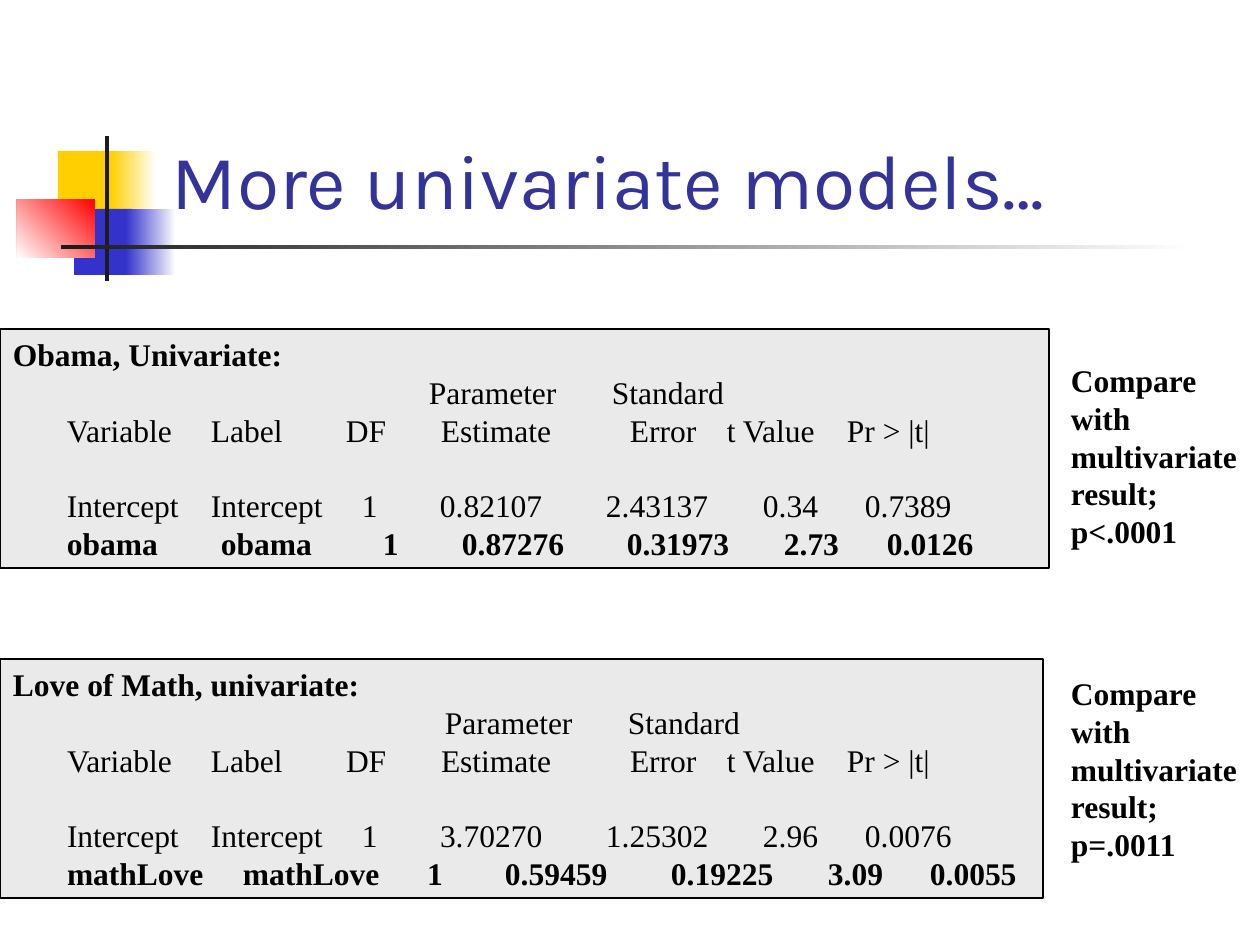
from lxml import etree
from pptx import Presentation
from pptx.dml.color import RGBColor
from pptx.enum.shapes import MSO_SHAPE
from pptx.enum.text import MSO_ANCHOR, PP_ALIGN
from pptx.oxml.ns import qn
from pptx.util import Emu, Pt

RECTANGLE = MSO_SHAPE.RECTANGLE
LEFT, TOP, BOTTOM = PP_ALIGN.LEFT, MSO_ANCHOR.TOP, MSO_ANCHOR.BOTTOM
PX = 914400 // 126
INSET_X, INSET_Y = 13, 6
LINE = Pt(21.6)
SERIF = {"name": "Times New Roman", "size": Pt(18)}
TITLE_FONT = {"name": "Karla", "size": Pt(44)}

# Left, top, width, height, colour, fade colour, fade angle (counterclockwise)
ORNAMENT = [
    (58, 151, 60, 65, "FFCF01", None, 0),
    (111, 151, 45, 65, "FFCF01", "FFFFFF", 0),
    (74, 209, 58, 66, "3333CC", None, 0),
    (126, 209, 50, 66, "3333CC", "FFFFFF", 0),
    (17, 199, 78, 59, "FF0000", "FFFFFF", 225),
    (105, 136, 4, 145, "1C1C1C", None, 0),
    (61, 245, 1134, 4, "1C1C1C", "FFFFFF", 0),
]

HEADINGS = ["Variable", "Label", "DF", "Estimate", "Error", "t Value", "Pr > |t|"]
HEADING_STOPS = [67, 211, 346, 441, 630, 727, 847]
INTERCEPT_STOPS = [67, 211, 362, 440, 606, 763, 865]
MODELS = [
    {
        "box": (0, 329, 1049, 239),
        "title": "Obama, Univariate:",
        "upper_stops": [429, 612],
        "intercept": ["Intercept", "Intercept", "1", "0.82107", "2.43137", "0.34", "0.7389"],
        "predictor": ["obama", "obama", "1", "0.87276", "0.31973", "2.73", "0.0126"],
        "predictor_stops": [67, 221, 383, 462, 627, 784, 887],
        "note_top": 355,
        "note": "Compare with multivariate result; p<.0001",
    },
    {
        "box": (0, 659, 1043, 239),
        "title": "Love of Math, univariate:",
        "upper_stops": [445, 628],
        "intercept": ["Intercept", "Intercept", "1", "3.70270", "1.25302", "2.96", "0.0076"],
        "predictor": ["mathLove", "mathLove", "1", "0.59459", "0.19225", "3.09", "0.0055"],
        "predictor_stops": [67, 243, 427, 505, 671, 828, 930],
        "note_top": 668,
        "note": "Compare with multivariate result; p=.0011",
    },
]


def px(*lengths):
    return [Emu(length * PX) for length in lengths]


def rgb(value):
    return RGBColor.from_string(value)


def set_attributes(target, values):
    for name, value in values.items():
        setattr(target, name, value)


def add_rectangle(slide, box, color, fade=None, angle=0, outline=None):
    rectangle = slide.shapes.add_shape(RECTANGLE, *px(*box))
    rectangle.shadow.inherit = False
    if fade:
        rectangle.fill.gradient()
        rectangle.fill.gradient_angle = angle
        for stop, stop_color in zip(rectangle.fill.gradient_stops, (color, fade)):
            stop.color.rgb = rgb(stop_color)
    else:
        rectangle.fill.solid()
        rectangle.fill.fore_color.rgb = rgb(color)
    if outline:
        rectangle.line.color.rgb = rgb(outline)
        rectangle.line.width = Pt(0.75)
    else:
        rectangle.line.fill.background()
    return rectangle


def prepare_frame(shape, anchor=TOP):
    frame = shape.text_frame
    inset_x, inset_y = px(INSET_X, INSET_Y)
    set_attributes(frame, {
        "word_wrap": True, "vertical_anchor": anchor,
        "margin_left": inset_x, "margin_right": inset_x,
        "margin_top": inset_y, "margin_bottom": inset_y,
    })
    return frame


def write(paragraph, text, font, color="000000", bold=False):
    paragraph.alignment = LEFT
    run = paragraph.add_run()
    run.text = text
    set_attributes(run.font, {**font, "bold": bold})
    run.font.color.rgb = rgb(color)


def add_text(slide, box, text, font, color="000000", bold=False, anchor=TOP, spacing=None):
    frame = prepare_frame(slide.shapes.add_textbox(*px(*box)), anchor)
    paragraph = frame.paragraphs[0]
    paragraph.line_spacing = spacing
    write(paragraph, text, font, color, bold)


def add_row(frame, values, stops, bold=False, gap=0):
    """Add a line whose values start at the given slide positions."""
    paragraph = frame.add_paragraph()
    paragraph.line_spacing = LINE
    paragraph.space_before = gap
    write(paragraph, "".join("\t" + value for value in values), SERIF, bold=bold)
    tabs = etree.SubElement(paragraph._p.get_or_add_pPr(), qn("a:tabLst"))
    for stop in stops:
        etree.SubElement(tabs, qn("a:tab"), pos=str((stop - INSET_X) * PX), algn="l")


def add_model(slide, model):
    panel = add_rectangle(slide, model["box"], "EAEAEA", outline="000000")
    frame = prepare_frame(panel)
    heading = frame.paragraphs[0]
    heading.line_spacing = LINE
    write(heading, model["title"], SERIF, bold=True)
    add_row(frame, ["Parameter", "Standard"], model["upper_stops"])
    add_row(frame, HEADINGS, HEADING_STOPS)
    add_row(frame, model["intercept"], INTERCEPT_STOPS, gap=LINE)
    add_row(frame, model["predictor"], model["predictor_stops"], bold=True)
    add_text(slide, (1058, model["note_top"], 202, 202), model["note"], SERIF,
             bold=True, spacing=LINE)


def main():
    presentation = Presentation()
    presentation.slide_width, presentation.slide_height = px(1260, 945)
    slide = presentation.slides.add_slide(presentation.slide_layouts[6])
    for *box, color, fade, angle in ORNAMENT:
        add_rectangle(slide, box, color, fade, angle)
    add_text(slide, (159, 29, 1074, 202), "More univariate models…", TITLE_FONT,
             color="333399", anchor=BOTTOM)
    for model in MODELS:
        add_model(slide, model)
    presentation.save("out.pptx")


if __name__ == "__main__":
    main()
